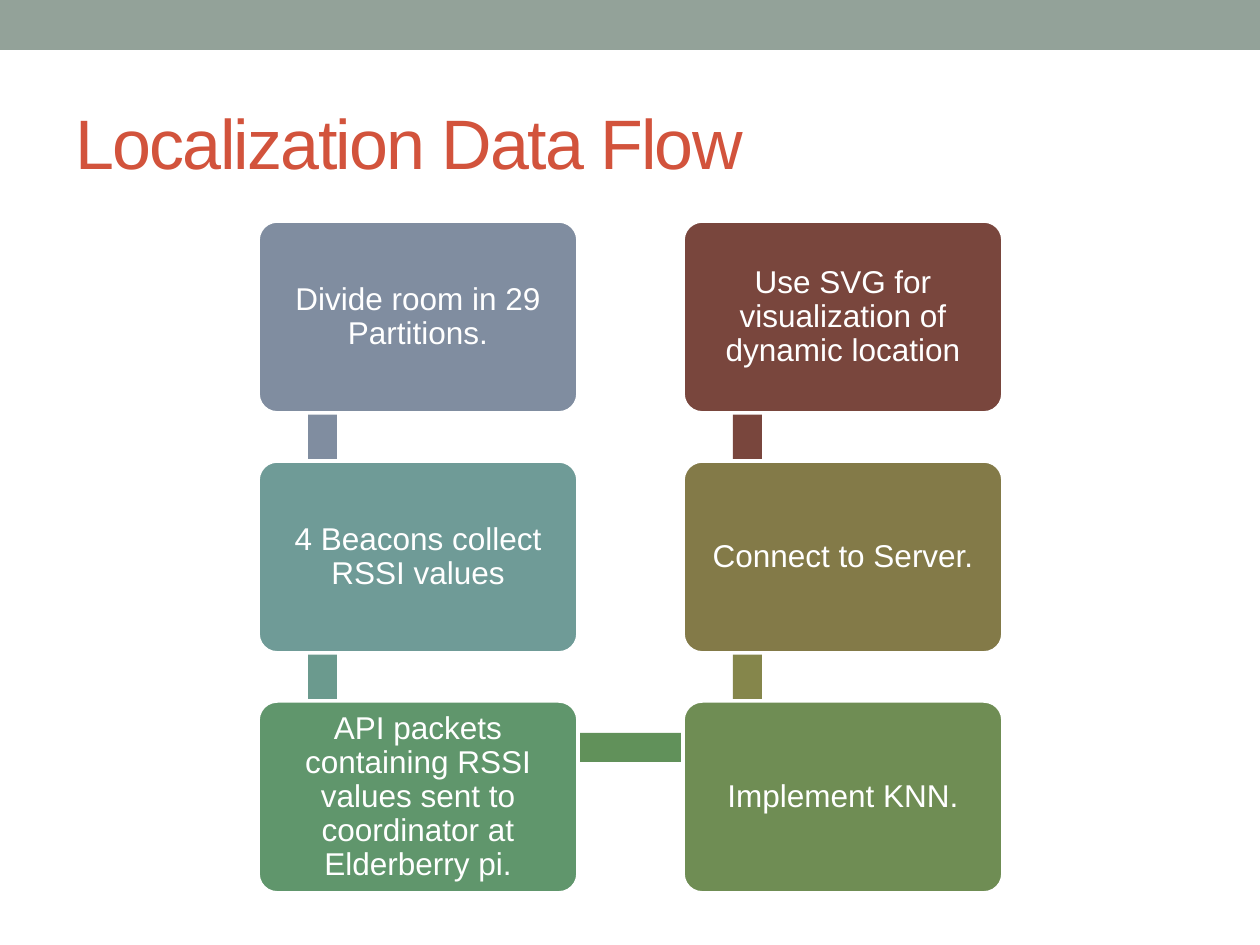
from pptx import Presentation
from pptx.dml.color import RGBColor
from pptx.enum.shapes import MSO_SHAPE
from pptx.enum.text import MSO_ANCHOR, PP_ALIGN
from pptx.util import Pt

RECT, ROUNDED = MSO_SHAPE.RECTANGLE, MSO_SHAPE.ROUNDED_RECTANGLE
MIDDLE, LEFT, CENTER = MSO_ANCHOR.MIDDLE, PP_ALIGN.LEFT, PP_ALIGN.CENTER
PX = 914400 // 126

WHITE = RGBColor(0xFF, 0xFF, 0xFF)
BANNER = RGBColor(0x93, 0xA2, 0x99)
TITLE = RGBColor(0xD2, 0x53, 0x3C)
SLATE = RGBColor(0x80, 0x8D, 0xA0)
TEAL = RGBColor(0x6F, 0x9B, 0x97)
TEAL_LINK = RGBColor(0x6B, 0x9A, 0x8E)
GREEN = RGBColor(0x60, 0x96, 0x6C)
GREEN_LINK = RGBColor(0x61, 0x91, 0x5A)
MOSS = RGBColor(0x6F, 0x8D, 0x54)
MOSS_LINK = RGBColor(0x85, 0x86, 0x4B)
OLIVE = RGBColor(0x83, 0x7A, 0x48)
BROWN = RGBColor(0x79, 0x46, 0x3D)

# Content: text, box colour, colour of the link to the next step
title = "Localization Data Flow"
steps = [
    ("Divide room in 29 Partitions.", SLATE, SLATE),
    ("4 Beacons collect RSSI values", TEAL, TEAL_LINK),
    ("API packets containing RSSI values sent to coordinator at Elderberry pi.",
     GREEN, GREEN_LINK),
    ("Implement KNN.", MOSS, MOSS_LINK),
    ("Connect to Server.", OLIVE, BROWN),
    ("Use SVG for visualization of dynamic location", BROWN, None),
]

# Grid in pixels: down the first column, then up the second
ROWS = 3
GRID_LEFT, GRID_TOP = 258, 221
COL_STEP, ROW_STEP = 425, 240
BOX_W, BOX_H = 320, 192
BAR = 29
BAR_X, BAR_Y = 50, 32
BAR_START = 47

BOX_FRAME = dict(word_wrap=True, vertical_anchor=MIDDLE, margin_left=3 * PX,
                 margin_right=3 * PX, margin_top=3 * PX, margin_bottom=3 * PX)
TITLE_FRAME = dict(word_wrap=True, vertical_anchor=MIDDLE)

prs = Presentation()
prs.slide_width, prs.slide_height = 1260 * PX, 945 * PX
slide = prs.slides.add_slide(prs.slide_layouts[6])


def apply(target, values):
    for name, value in values.items():
        setattr(target, name, value)


def block(kind, bounds, color):
    shape = slide.shapes.add_shape(kind, *(v * PX for v in bounds))
    shape.shadow.inherit = False
    shape.fill.solid()
    shape.fill.fore_color.rgb = color
    shape.line.fill.background()
    return shape


def write(shape, text, size, color, frame_format, paragraph_format):
    frame = shape.text_frame
    apply(frame, frame_format)
    paragraph = frame.paragraphs[0]
    apply(paragraph, paragraph_format)
    run = paragraph.add_run()
    run.text = text
    apply(run.font, dict(name="Arial", size=Pt(size)))
    run.font.color.rgb = color
    return run


def cell(index):
    col, row = divmod(index, ROWS)
    if col:
        row = ROWS - 1 - row
    return GRID_LEFT + col * COL_STEP, GRID_TOP + row * ROW_STEP


# Banner and title
block(RECT, (0, 0, 1260, 50), BANNER)
heading = slide.shapes.add_textbox(63 * PX, 73 * PX, 1134 * PX, 136 * PX)
heading_run = write(heading, title, 40, TITLE, TITLE_FRAME, dict(alignment=LEFT))
heading_run.font._element.set("spc", "-100")

# Steps, each over the link that leads to the next one
for index, (text, color, link_color) in enumerate(steps):
    x, y = cell(index)
    if link_color is not None:
        next_x, next_y = cell(index + 1)
        if next_x == x:
            link = (x + BAR_X, min(y, next_y) + BAR_START, BAR, ROW_STEP)
        else:
            link = (x + BAR_X + BAR // 2, y + BAR_Y, COL_STEP, BAR)
        block(RECT, link, link_color)
    box = block(ROUNDED, (x, y, BOX_W, BOX_H), color)
    box.adjustments[0] = 0.1
    box.line.color.rgb = WHITE
    box.line.width = Pt(2.08)
    write(box, text, 18, WHITE, BOX_FRAME, dict(alignment=CENTER, line_spacing=0.9))

prs.save("out.pptx")
